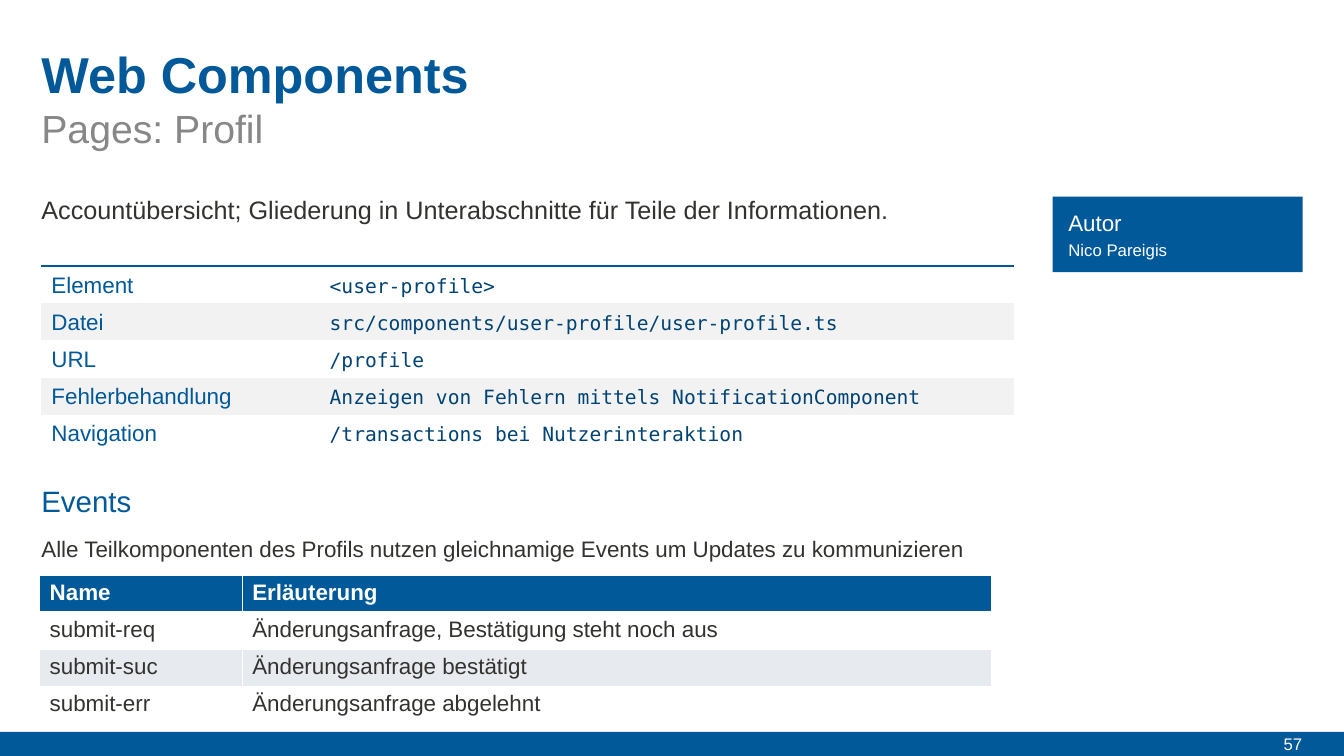
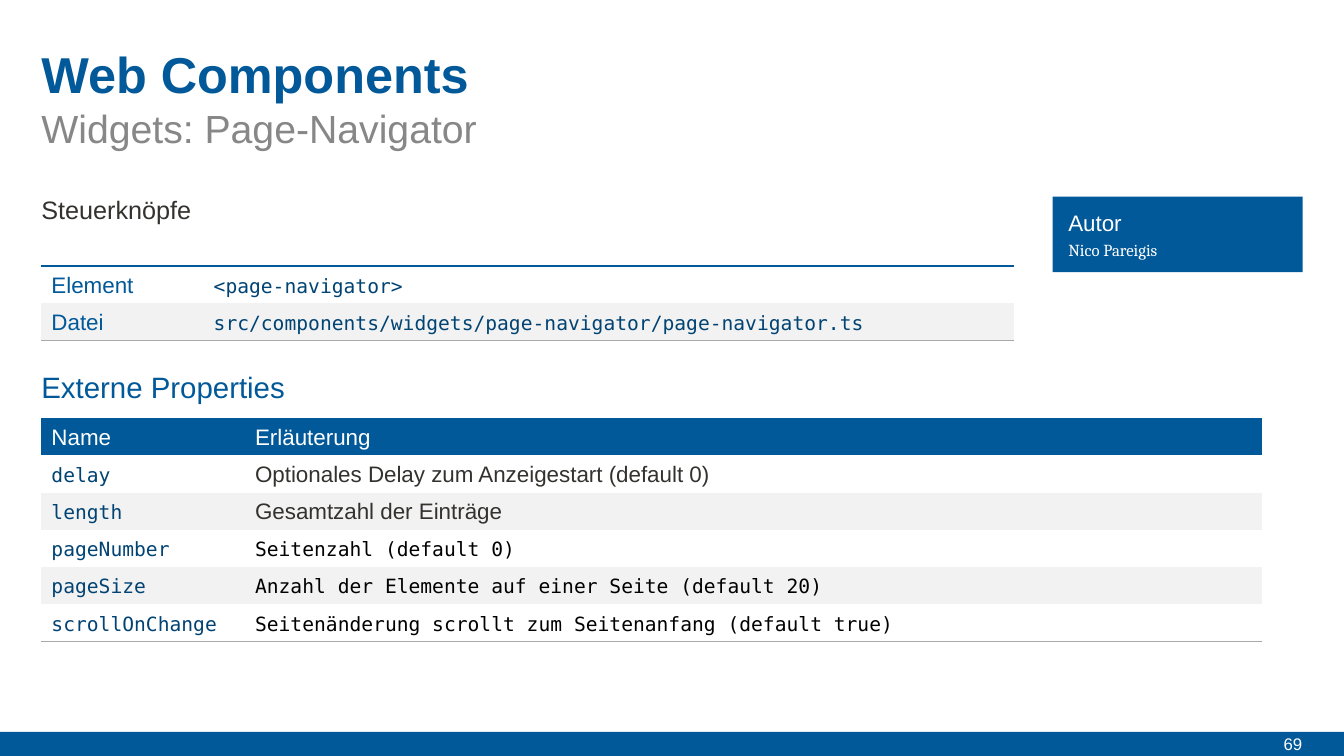
from dataclasses import dataclass, replace

from lxml.etree import SubElement
from pptx import Presentation
from pptx.dml.color import RGBColor
from pptx.enum.shapes import MSO_SHAPE
from pptx.enum.text import MSO_ANCHOR, PP_ALIGN
from pptx.oxml.ns import qn
from pptx.util import Inches, Pt

BLUE = RGBColor(0x01, 0x59, 0x99)
DARK_BLUE = RGBColor(0x01, 0x43, 0x73)
GRAY = RGBColor(0x87, 0x87, 0x87)
RULE_GRAY = RGBColor(0xA9, 0xA9, 0xA9)
INK = RGBColor(0x33, 0x32, 0x2F)
BLACK = RGBColor(0x00, 0x00, 0x00)
WHITE = RGBColor(0xFF, 0xFF, 0xFF)
LIGHT_GRAY = RGBColor(0xF2, 0xF2, 0xF2)
LIGHT_BLUE = RGBColor(0xE7, 0xEA, 0xEF)

SLIDE_WIDTH, SLIDE_HEIGHT = Inches(13.33), Inches(7.5)
TITLE_ONLY_LAYOUT = 5
PLAIN_TABLE_STYLE = "{2D5ABB26-0587-4C30-8999-92F81FD0307C}"


@dataclass(frozen=True)
class TextStyle:
    """Look of one line of text."""

    size: float
    color: RGBColor
    font: str = "Arial"
    bold: bool = False
    spacing: float | None = None


@dataclass(frozen=True)
class Box:
    """Rectangle on the slide."""

    left: int
    top: int
    width: int
    height: int

    def area(self, left, top, width, height):
        """Return an inner box given in percent of this one."""
        return Box(
            self.left + round(self.width * left / 100),
            self.top + round(self.height * top / 100),
            round(self.width * width / 100),
            round(self.height * height / 100),
        )

    def place(self):
        """Return the four lengths in the order shapes expect."""
        return self.left, self.top, self.width, self.height


PAGE = Box(0, 0, SLIDE_WIDTH, SLIDE_HEIGHT)
MARGIN = 3.08
CONTENT_WIDTH = 72.38
ROW_HEIGHT = 4.92

TITLE = TextStyle(36, BLUE, bold=True)
SUBTITLE = TextStyle(28, GRAY, spacing=1.1)
INTRO = TextStyle(18, INK, spacing=Pt(22))
NOTE = replace(INTRO, size=16)
HEADING = TextStyle(21, BLUE, spacing=Pt(25))
LABEL = TextStyle(16, BLUE, spacing=Pt(19))
BODY = replace(LABEL, color=INK)
LABEL_ON_BLUE = replace(LABEL, color=WHITE)
CODE = TextStyle(14, DARK_BLUE, "DejaVu Sans Mono", spacing=Pt(19))
BLACK_CODE = replace(CODE, color=BLACK)
SMALL_ON_BLUE = TextStyle(12, WHITE, spacing=Pt(14))
PAGE_NUMBER = TextStyle(12, WHITE)
EVENT_HEADER = TextStyle(16, WHITE, bold=True)
EVENT_BODY = TextStyle(16, INK)


def write_text(frame, text, style, align=PP_ALIGN.LEFT):
    """Write one styled line into a text frame."""
    paragraph = frame.paragraphs[0]
    paragraph.alignment = align
    if style.spacing is not None:
        paragraph.line_spacing = style.spacing
    run = paragraph.add_run()
    run.text = text
    run.font.size = Pt(style.size)
    run.font.name = style.font
    run.font.bold = style.bold
    run.font.color.rgb = style.color


def prepare_frame(frame, anchor):
    """Give a text frame wrapping, no insets and an anchor."""
    frame.word_wrap = True
    frame.margin_left = frame.margin_right = 0
    frame.margin_top = frame.margin_bottom = 0
    frame.vertical_anchor = anchor


def add_text(slide, box, text, style, anchor=MSO_ANCHOR.TOP, align=PP_ALIGN.LEFT):
    """Add a text box with one styled line."""
    frame = slide.shapes.add_textbox(*box.place()).text_frame
    prepare_frame(frame, anchor)
    write_text(frame, text, style, align)


def add_panel(slide, box):
    """Add a plain blue rectangle."""
    panel = slide.shapes.add_shape(MSO_SHAPE.RECTANGLE, *box.place())
    panel.shadow.inherit = False
    panel.fill.solid()
    panel.fill.fore_color.rgb = BLUE
    panel.line.fill.background()


def add_footer(slide, box, number):
    """Add the bottom band with the page number."""
    add_panel(slide, box)
    add_text(slide, box.area(91.35, 0, 5.55, 100), number, PAGE_NUMBER,
             MSO_ANCHOR.MIDDLE, PP_ALIGN.RIGHT)


def add_header(slide, box, subtitle):
    """Fill the title placeholder and add the subtitle."""
    title = slide.shapes.title
    title.left, title.top, title.width, title.height = box.area(0, 0, 100, 57).place()
    prepare_frame(title.text_frame, MSO_ANCHOR.BOTTOM)
    write_text(title.text_frame, "Web Components", TITLE)
    add_text(slide, box.area(0, 49.5, 100, 50.5), subtitle, SUBTITLE, MSO_ANCHOR.BOTTOM)


def add_author(slide, box, font):
    """Add the author panel."""
    add_panel(slide, box)
    add_text(slide, box.area(6.3, 17.33, 87.4, 36), "Autor", LABEL_ON_BLUE)
    add_text(slide, box.area(6.3, 57.33, 87.4, 26.67), "Nico Pareigis",
             replace(SMALL_ON_BLUE, font=font))


def set_borders(cell, borders):
    """Draw the given sides of a cell as (colour, points)."""
    properties = cell._tc.get_or_add_tcPr()
    for side in "LRTB":
        if side in borders:
            color, points = borders[side]
            line = SubElement(properties, qn(f"a:ln{side}"), w=str(Pt(points)))
            fill = SubElement(line, qn("a:solidFill"))
            SubElement(fill, qn("a:srgbClr"), val=str(color))


def add_grid(slide, box, first_share, rows, fills, borders_for):
    """Add a two-column table of (text, style) cells."""
    table = slide.shapes.add_table(len(rows), 2, *box.place()).table
    table._tbl.tblPr.find(qn("a:tableStyleId")).text = PLAIN_TABLE_STYLE
    table.first_row = table.horz_banding = False
    table.columns[0].width = round(box.width * first_share / 100)
    table.columns[1].width = box.width - table.columns[0].width
    for index, (row, fill) in enumerate(zip(rows, fills)):
        table.rows[index].height = box.height // len(rows)
        for column, (text, style) in enumerate(row):
            cell = table.cell(index, column)
            set_borders(cell, borders_for(index))
            cell.fill.solid()
            cell.fill.fore_color.rgb = fill
            write_text(cell.text_frame, text, style)


def banded(count, band):
    """Return alternating white and band fills."""
    return [band if index % 2 else WHITE for index in range(count)]


def add_facts(slide, box, first_share, facts, closed):
    """Add the fact table with a blue top rule and an optional closing rule."""
    def borders_for(index):
        borders = {"T": (BLUE, 2)} if index == 0 else {}
        if closed and index == len(facts) - 1:
            borders["B"] = (RULE_GRAY, 0.5)
        return borders

    rows = [((label, LABEL), (value, CODE)) for label, value in facts]
    add_grid(slide, box, first_share, rows, banded(len(rows), LIGHT_GRAY), borders_for)


def add_events(slide, box, events):
    """Add the event table with white cell borders."""
    def borders_for(index):
        borders = dict.fromkeys("LRTB", (WHITE, 1))
        if index == 0:
            borders["B"] = (WHITE, 3)
        elif index == 1:
            borders["T"] = (WHITE, 3)
        return borders

    rows = [[(text, EVENT_HEADER) for text in ("Name", "Erläuterung")]]
    rows += [[(text, EVENT_BODY) for text in event] for event in events]
    add_grid(slide, box, 21.29, rows, [BLUE] + banded(len(events), LIGHT_BLUE), borders_for)


def add_properties(slide, box, properties):
    """Add the property table with a closing rule."""
    def borders_for(index):
        return {"B": (RULE_GRAY, 0.5)} if index == len(properties) else {}

    rows = [[(text, LABEL_ON_BLUE) for text in ("Name", "Erläuterung")]]
    rows += [((name, CODE), (meaning, style)) for name, meaning, style in properties]
    add_grid(slide, box, 16.68, rows, [BLUE] + banded(len(properties), LIGHT_GRAY), borders_for)


def add_component_slide(presentation, number, subtitle, intro, facts,
                        first_share, closed, author_font):
    """Add a slide with the regions every component shares."""
    slide = presentation.slides.add_slide(presentation.slide_layouts[TITLE_ONLY_LAYOUT])
    add_footer(slide, PAGE.area(0, 96.8, 100, 3.2), number)
    add_header(slide, PAGE.area(MARGIN, 5.47, CONTENT_WIDTH, 14.53), subtitle)
    add_text(slide, PAGE.area(MARGIN, 25.6, CONTENT_WIDTH, 3.87), intro, INTRO)
    facts_box = PAGE.area(MARGIN, 35.2, CONTENT_WIDTH, ROW_HEIGHT * len(facts))
    add_facts(slide, facts_box, first_share, facts, closed)
    add_author(slide, PAGE.area(78.32, 26, 18.6, 10), author_font)
    return slide


def add_profile_slide(presentation):
    """Add the profile page slide."""
    facts = [
        ("Element", "<user-profile>"),
        ("Datei", "src/components/user-profile/user-profile.ts"),
        ("URL", "/profile"),
        ("Fehlerbehandlung", "Anzeigen von Fehlern mittels NotificationComponent"),
        ("Navigation", "/transactions bei Nutzerinteraktion"),
    ]
    events = [
        ("submit-req", "Änderungsanfrage, Bestätigung steht noch aus"),
        ("submit-suc", "Änderungsanfrage bestätigt"),
        ("submit-err", "Änderungsanfrage abgelehnt"),
    ]
    slide = add_component_slide(
        presentation, "57", "Pages: Profil",
        "Accountübersicht; Gliederung in Unterabschnitte für Teile der Informationen.",
        facts, 28.6, False, "Arial")
    add_text(slide, PAGE.area(MARGIN, 64, CONTENT_WIDTH, 4.67), "Events", HEADING)
    add_text(slide, PAGE.area(MARGIN, 70.27, CONTENT_WIDTH, 3.73),
             "Alle Teilkomponenten des Profils nutzen gleichnamige Events"
             " um Updates zu kommunizieren", NOTE)
    add_events(slide, PAGE.area(2.95, 76.13, 70.8, 19.6), events)


def add_navigator_slide(presentation):
    """Add the page navigator slide."""
    facts = [
        ("Element", "<page-navigator>"),
        ("Datei", "src/components/widgets/page-navigator/page-navigator.ts"),
    ]
    properties = [
        ("delay", "Optionales Delay zum Anzeigestart (default 0)", BODY),
        ("length", "Gesamtzahl der Einträge", BODY),
        ("pageNumber", "Seitenzahl (default 0)", BLACK_CODE),
        ("pageSize", "Anzahl der Elemente auf einer Seite (default 20)", BLACK_CODE),
        ("scrollOnChange", "Seitenänderung scrollt zum Seitenanfang (default true)", BLACK_CODE),
    ]
    slide = add_component_slide(
        presentation, "69", "Widgets: Page-Navigator", "Steuerknöpfe",
        facts, 16.68, True, "Cambria")
    add_text(slide, PAGE.area(MARGIN, 48.93, CONTENT_WIDTH, 4.67),
             "Externe Properties", HEADING)
    properties_box = PAGE.area(MARGIN, 55.33, 90.83, ROW_HEIGHT * (len(properties) + 1))
    add_properties(slide, properties_box, properties)


def main():
    """Build and save the presentation."""
    presentation = Presentation()
    presentation.slide_width = SLIDE_WIDTH
    presentation.slide_height = SLIDE_HEIGHT
    add_profile_slide(presentation)
    add_navigator_slide(presentation)
    presentation.save("out.pptx")


if __name__ == "__main__":
    main()
